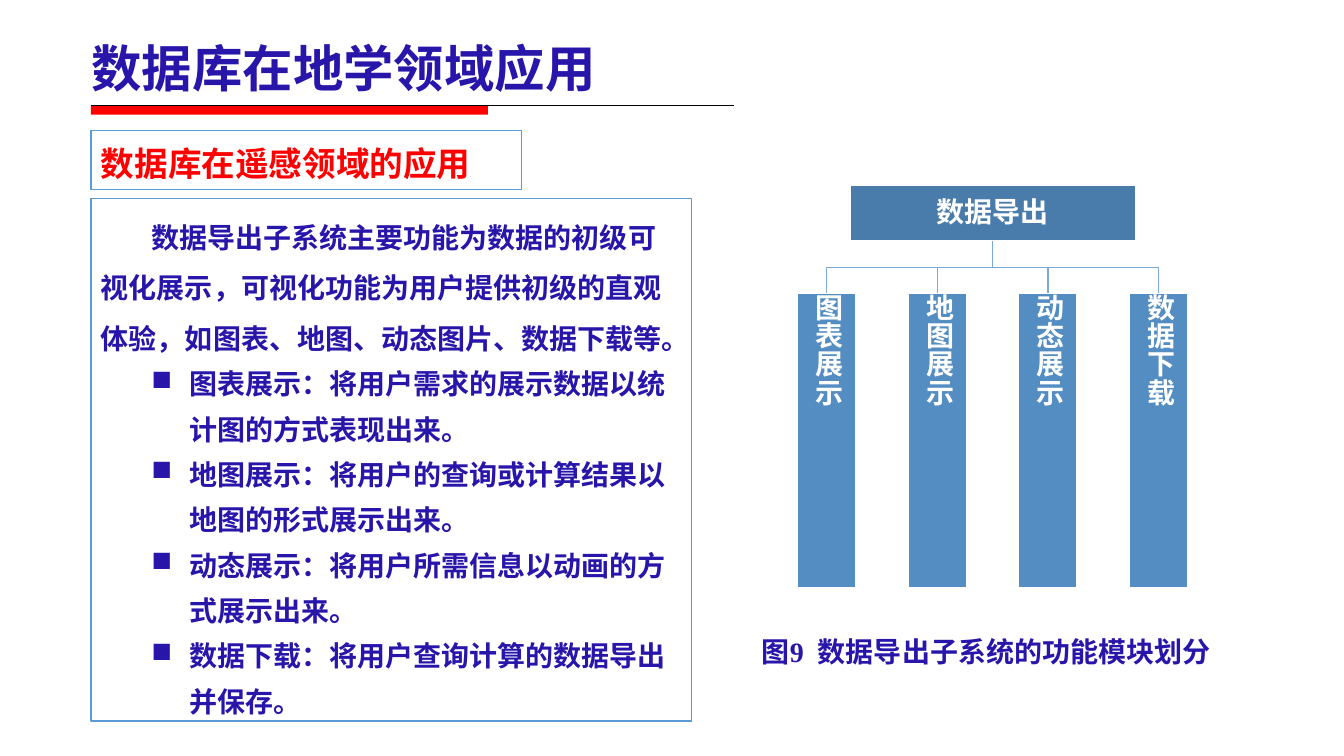
"""Builds a slide on data export in remote sensing databases, with a module tree."""
import pptx
import pptx.dml.color
import pptx.enum.shapes
import pptx.enum.text
import pptx.oxml
import pptx.oxml.ns
import pptx.util

Pt = pptx.util.Pt
RGBColor = pptx.dml.color.RGBColor
ALIGN = pptx.enum.text.PP_ALIGN
ANCHOR = pptx.enum.text.MSO_ANCHOR
RECTANGLE = pptx.enum.shapes.MSO_SHAPE.RECTANGLE

NAVY = RGBColor(0x28, 0x16, 0xAA)
RED = RGBColor(0xFF, 0, 0)
BLACK = RGBColor(0, 0, 0)
WHITE = RGBColor(0xFF, 0xFF, 0xFF)
FRAME_BLUE = RGBColor(0x5B, 0x9B, 0xD5)
LINK_BLUE = RGBColor(0x7A, 0xA9, 0xDA)
ROOT_BLUE = RGBColor(0x49, 0x7C, 0xAB)
MODULE_BLUE = RGBColor(0x53, 0x8D, 0xC1)
SANS = "Noto Sans CJK SC"
SERIF = "Times New Roman"

TITLE = "数据库在地学领域应用"
SUBTITLE = "数据库在遥感领域的应用"
INTRO = "数据导出子系统主要功能为数据的初级可视化展示，可视化功能为用户提供初级的直观体验，如图表、地图、动态图片、数据下载等。"
FEATURES = [
    "图表展示：将用户需求的展示数据以统计图的方式表现出来。",
    "地图展示：将用户的查询或计算结果以地图的形式展示出来。",
    "动态展示：将用户所需信息以动画的方式展示出来。",
    "数据下载：将用户查询计算的数据导出并保存。",
]
CAPTION = [("图", SANS, 0), ("9", SERIF, 0), (" ", SERIF, 5), ("数据导出子系统的功能模块划分", SANS, 0)]
ROOT = "数据导出"
MODULES = ["图表展示", "地图展示", "动态展示", "数据下载"]

TITLE_FONT = {"size": Pt(36), "bold": True, "name": SANS}
SUBTITLE_FONT = {"size": Pt(24), "bold": True, "name": SERIF}
BODY_FONT = {"size": Pt(20), "bold": True, "name": SANS}
HEADING_SPACE = {"space_after": Pt(6)}
INTRO_SPACE = {"line_spacing": 1.5}
FEATURE_SPACE = {"line_spacing": 1.35, "level": 1}
NODE_SPACE = {"line_spacing": 0.9, "alignment": ALIGN.CENTER}
NODE_FRAME = dict.fromkeys(("margin_left", "margin_top", "margin_right", "margin_bottom"), Pt(0.7))
NODE_FRAME["vertical_anchor"] = ANCHOR.MIDDLE

LEFT = 65
TREE_CENTER, MODULE_STEP, MODULE_WIDTH = 709, 79, 41.5
ROOT_TOP, ROOT_WIDTH, ROOT_HEIGHT = 132.5, 204, 39.5
MODULE_TOP, MODULE_HEIGHT = 209.5, 210


def apply_format(target, values):
    for name, value in values.items():
        setattr(target, name, value)


def points(*lengths):
    return [Pt(length) for length in lengths]


def add_span(para, text, font, color):
    span = para.add_run()
    span.text = text
    apply_format(span.font, font)
    span.font.color.rgb = color
    east_asian = pptx.oxml.parse_xml(
        f'<a:ea {pptx.oxml.ns.nsdecls("a")} typeface="{SANS}"/>')
    span.font._element.append(east_asian)
    return span


def add_box(page, place, fill, line):
    box = page.shapes.add_shape(RECTANGLE, *points(*place))
    box.shadow.inherit = False
    box.fill.solid()
    box.fill.fore_color.rgb = fill
    if line is None:
        box.line.fill.background()
    else:
        box.line.color.rgb = line
        box.line.width = Pt(1)
    apply_format(box.text_frame, {"word_wrap": True, "vertical_anchor": ANCHOR.TOP})
    return box


def add_text(page, place, anchor):
    box = page.shapes.add_textbox(*points(*place))
    apply_format(box.text_frame, {"word_wrap": True, "vertical_anchor": anchor})
    return box


def write(para, text, font, color, spacing):
    apply_format(para, {"alignment": ALIGN.LEFT, **spacing})
    add_span(para, text, font, color)


def indent(para, margin, first):
    properties = para._p.get_or_add_pPr()
    properties.set("marL", str(Pt(margin)))
    properties.set("indent", str(Pt(first)))
    return properties


def add_heading(page):
    title = add_text(page, (58.3, 23, 486, 46), ANCHOR.MIDDLE)
    write(title.text_frame.paragraphs[0], TITLE, TITLE_FONT, NAVY,
          {"line_spacing": 1.1, **HEADING_SPACE})
    add_box(page, (LEFT, 75.5, 283.5, 6.5), RED, None)
    rule = page.shapes.add_connector(
        pptx.enum.shapes.MSO_CONNECTOR.STRAIGHT, *points(LEFT, 75.5, 524, 75.5))
    rule.line.color.rgb = BLACK
    rule.line.width = Pt(0.75)
    rule._element.spPr.append(
        pptx.oxml.parse_xml(f'<a:effectLst {pptx.oxml.ns.nsdecls("a")}/>'))
    subtitle = add_box(page, (LEFT, 93, 307.5, 42.5), WHITE, FRAME_BLUE)
    write(subtitle.text_frame.paragraphs[0], SUBTITLE, SUBTITLE_FONT, RED,
          {"line_spacing": 1.2, **HEADING_SPACE})


def add_description(page):
    frame = add_box(page, (LEFT, 142, 429, 373), WHITE, FRAME_BLUE).text_frame
    intro = frame.paragraphs[0]
    write(intro, INTRO, BODY_FONT, NAVY, INTRO_SPACE)
    indent(intro, 0, 36)
    for feature in FEATURES:
        para = frame.add_paragraph()
        write(para, feature, BODY_FONT, NAVY, FEATURE_SPACE)
        properties = indent(para, 63, -27)
        properties.append(pptx.oxml.parse_xml(
            f'<a:buChar {pptx.oxml.ns.nsdecls("a")} char="■"/>'))


def add_caption(page):
    box = add_text(page, (520.5, 450, 368, 31.5), ANCHOR.TOP)
    para = box.text_frame.paragraphs[0]
    para.alignment = ALIGN.CENTER
    for text, name, gap in CAPTION:
        span = add_span(para, text, {**BODY_FONT, "name": name}, NAVY)
        if gap:
            span.font._element.set("spc", str(gap * 100))


def add_node(page, text, place, fill):
    box = add_box(page, place, fill, WHITE)
    apply_format(box.text_frame, NODE_FRAME)
    write(box.text_frame.paragraphs[0], text, BODY_FONT, WHITE, NODE_SPACE)
    return box


def add_link(page, center):
    top = ROOT_TOP + ROOT_HEIGHT + 0.5
    middle = (top + MODULE_TOP) / 2
    route = [(TREE_CENTER, middle), (center, middle), (center, MODULE_TOP)]
    builder = page.shapes.build_freeform(*points(TREE_CENTER, top))
    builder.add_line_segments([points(*stop) for stop in route], close=False)
    link = builder.convert_to_shape()
    link.shadow.inherit = False
    link.fill.background()
    link.line.color.rgb = LINK_BLUE
    link.line.width = Pt(1)


def add_tree(page):
    middle = (len(MODULES) - 1) / 2
    centers = [TREE_CENTER + (index - middle) * MODULE_STEP for index in range(len(MODULES))]
    for center in centers:
        add_link(page, center)
    add_node(page, ROOT, (TREE_CENTER - ROOT_WIDTH / 2, ROOT_TOP, ROOT_WIDTH, ROOT_HEIGHT), ROOT_BLUE)
    for center, module in zip(centers, MODULES):
        place = (center - MODULE_WIDTH / 2, MODULE_TOP, MODULE_WIDTH, MODULE_HEIGHT)
        box = add_node(page, module, place, MODULE_BLUE)
        box.text_frame._txBody.bodyPr.set("vert", "eaVert")


def main():
    deck = pptx.Presentation()
    deck.slide_width, deck.slide_height = points(960, 540)
    page = deck.slides.add_slide(deck.slide_layouts[6])
    add_heading(page)
    add_description(page)
    add_caption(page)
    add_tree(page)
    deck.save("out.pptx")


if __name__ == "__main__":
    main()
